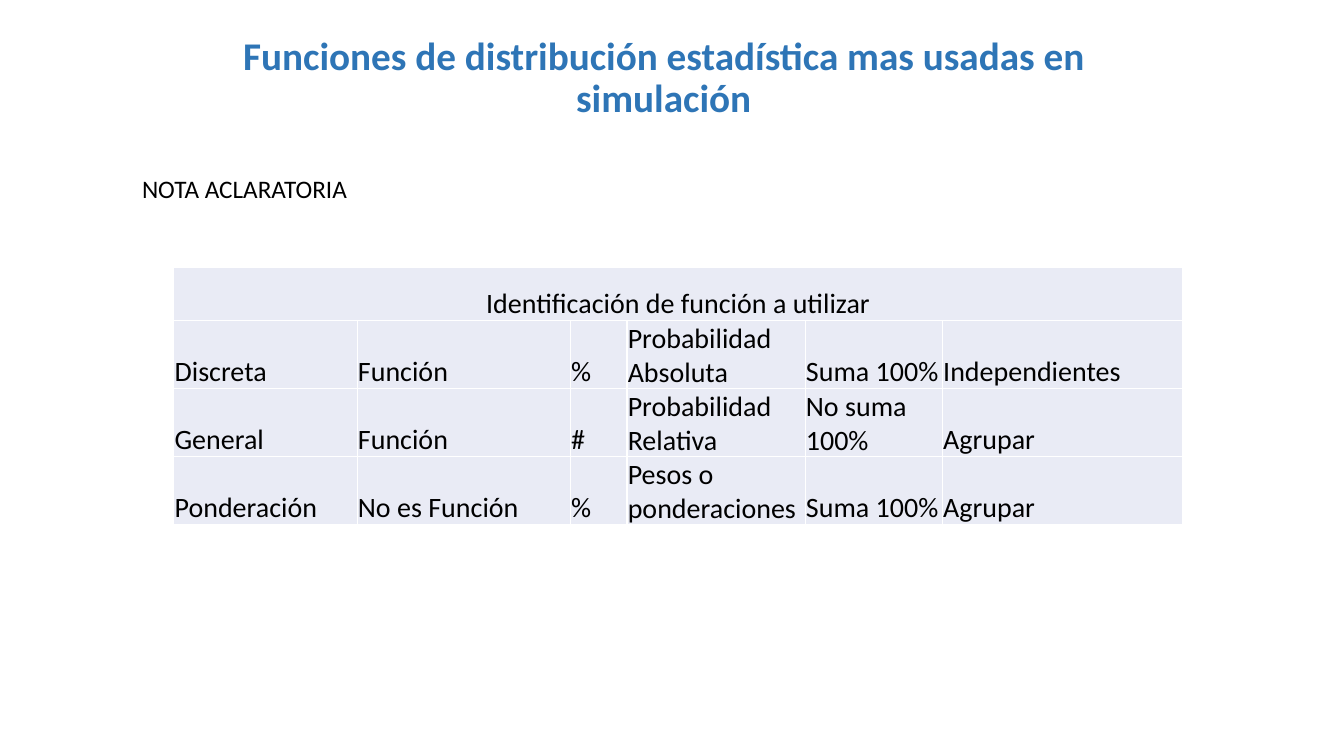
from dataclasses import dataclass

from lxml.etree import SubElement
from pptx import Presentation
from pptx.dml.color import RGBColor
from pptx.enum.text import MSO_ANCHOR as Anchor, MSO_AUTO_SIZE as AutoSize, PP_ALIGN as Align
from pptx.oxml.ns import qn
from pptx.slide import Slide
from pptx.table import _Cell as Cell
from pptx.text.text import _Paragraph as Paragraph
from pptx.util import Cm, Pt


@dataclass(frozen=True)
class Theme:
    font: str = "Calibri"
    title: str = "2E75B6"
    text: str = "000000"
    cell: str = "E9EBF5"
    border: str = "FFFFFF"
    title_size: int = 28
    note_size: int = 18
    table_size: int = 20


@dataclass(frozen=True)
class TextSpec:
    text: str
    left: float
    top: float
    width: float
    height: float
    size: int
    color: str
    bold: bool = False
    wrap: bool = True
    align: Align = Align.LEFT
    anchor: Anchor = Anchor.TOP
    line_spacing: float = 1.0


THEME = Theme()
TEXTS = [
    TextSpec("Funciones de distribución estadística mas usadas en simulación",
             5.28, 1.17, 22.89, 1.63, THEME.title_size, THEME.title, bold=True,
             align=Align.CENTER, anchor=Anchor.MIDDLE, line_spacing=0.9),
    TextSpec("NOTA ACLARATORIA", 3.33, 4.24, 5.72, 1.02,
             THEME.note_size, THEME.text, wrap=False),
]
TABLE_LEFT, TABLE_TOP = 4.38, 6.73
ROW_HEIGHT = 1.35
COLUMN_WIDTHS = [4.62, 5.37, 1.43, 4.49, 3.46, 6.05]
TABLE_TITLE = "Identificación de función a utilizar"
FUNCTION_ROWS = [
    ["Discreta", "Función", "%", "Probabilidad Absoluta", "Suma 100%", "Independientes"],
    ["General", "Función", "#", "Probabilidad Relativa", "No suma 100%", "Agrupar"],
    ["Ponderación", "No es Función", "%", "Pesos o ponderaciones", "Suma 100%", "Agrupar"],
]


def style_paragraph(para: Paragraph, size: int, color: str, align: Align, bold: bool = False) -> None:
    para.alignment = align
    para.font.name = THEME.font
    para.font.size = Pt(size)
    para.font.bold = bold
    para.font.color.rgb = RGBColor.from_string(color)


def add_text(slide: Slide, spec: TextSpec) -> None:
    box = slide.shapes.add_textbox(Cm(spec.left), Cm(spec.top), Cm(spec.width), Cm(spec.height))
    frame = box.text_frame
    frame.word_wrap = spec.wrap
    frame.auto_size = AutoSize.NONE if spec.wrap else AutoSize.SHAPE_TO_FIT_TEXT
    frame.vertical_anchor = spec.anchor
    para = frame.paragraphs[0]
    para.text = spec.text
    para.line_spacing = spec.line_spacing
    style_paragraph(para, spec.size, spec.color, spec.align, spec.bold)


def add_borders(cell: Cell) -> None:
    properties = cell._tc.get_or_add_tcPr()
    for side in ("lnL", "lnR", "lnT", "lnB"):
        line = SubElement(properties, qn(f"a:{side}"), w=str(Pt(1)))
        fill = SubElement(line, qn("a:solidFill"))
        SubElement(fill, qn("a:srgbClr"), val=THEME.border)


def style_cell(cell: Cell, text: str, align: Align) -> None:
    add_borders(cell)
    cell.fill.solid()
    cell.fill.fore_color.rgb = RGBColor.from_string(THEME.cell)
    cell.vertical_anchor = Anchor.BOTTOM
    cell.margin_left = cell.margin_right = cell.margin_top = Cm(0.02)
    cell.margin_bottom = Cm(0)
    cell.text = text
    style_paragraph(cell.text_frame.paragraphs[0], THEME.table_size, THEME.text, align)


def add_function_table(slide: Slide) -> None:
    column_count = len(COLUMN_WIDTHS)
    rows = [[TABLE_TITLE] + [""] * (column_count - 1), *FUNCTION_ROWS]
    table = slide.shapes.add_table(
        len(rows), column_count, Cm(TABLE_LEFT), Cm(TABLE_TOP),
        Cm(sum(COLUMN_WIDTHS)), Cm(ROW_HEIGHT * len(rows))).table
    table.first_row = table.horz_banding = False
    for column, width in zip(table.columns, COLUMN_WIDTHS):
        column.width = Cm(width)
    for row_index, texts in enumerate(rows):
        table.rows[row_index].height = Cm(ROW_HEIGHT)
        align = Align.LEFT if row_index else Align.CENTER
        for column_index, text in enumerate(texts):
            style_cell(table.cell(row_index, column_index), text, align)
    table.cell(0, 0).merge(table.cell(0, column_count - 1))


def main() -> None:
    deck = Presentation()
    deck.slide_width, deck.slide_height = Cm(33.87), Cm(19.05)
    slide = deck.slides.add_slide(deck.slide_layouts[6])
    for spec in TEXTS:
        add_text(slide, spec)
    add_function_table(slide)
    deck.save("out.pptx")


if __name__ == "__main__":
    main()
